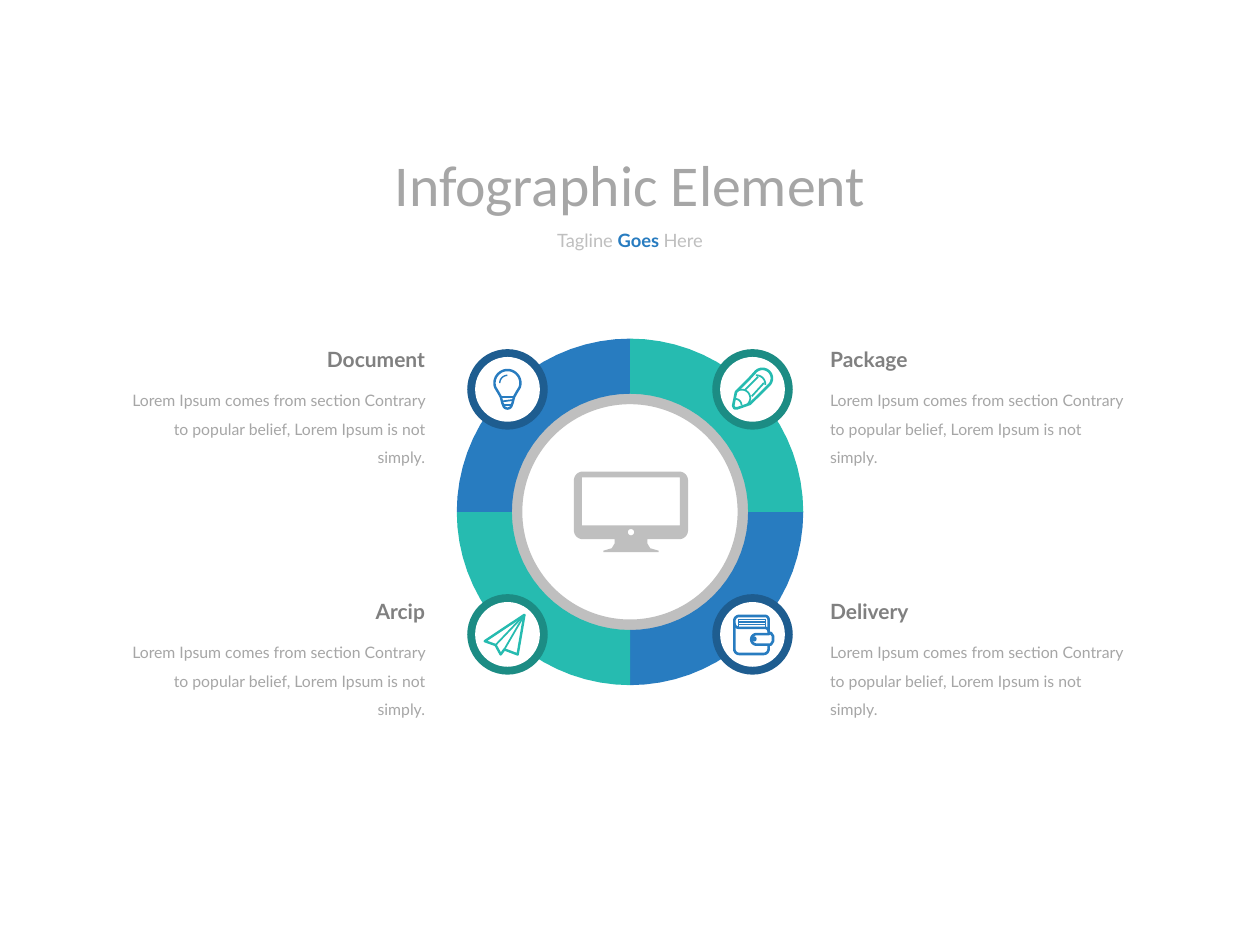
from math import cos, radians, sin

from lxml.etree import SubElement
from pptx import Presentation
from pptx.dml.color import RGBColor
from pptx.enum.shapes import MSO_SHAPE as Shape
from pptx.enum.text import MSO_ANCHOR as Anchor, MSO_AUTO_SIZE as AutoSize, PP_ALIGN as Align
from pptx.oxml.ns import qn
from pptx.util import Pt

BLUE, TEAL = "287CC0", "26BBB0"
DARK_BLUE, DARK_TEAL = "1E5D90", "1C8C84"
SILVER, GRAY, DARK_GRAY, WHITE = "BFBFBF", "A6A6A6", "808080", "FFFFFF"

CENTER_X, CENTER_Y = 360, 292.5
BADGE_OFFSET = 70
BLURB = ("Lorem Ipsum comes from section Contrary to popular belief, "
         "Lorem Ipsum is not simply.")


def color(hex_text):
    return RGBColor.from_string(hex_text)


def arc(x, y, radius, start, end):
    """Points along an arc, in degrees clockwise from the right."""
    count = max(6, int(abs(end - start) / 5))
    angles = [radians(start + (end - start) * i / count) for i in range(count + 1)]
    return [(x + radius * cos(a), y + radius * sin(a)) for a in angles]


def paint(shape, fill=None, line=None, weight=1.4):
    shape.shadow.inherit = False
    if fill:
        shape.fill.solid()
        shape.fill.fore_color.rgb = color(fill)
    else:
        shape.fill.background()
    if line:
        shape.line.color.rgb = color(line)
        shape.line.width = Pt(weight)
        SubElement(shape.line._get_or_add_ln(), qn("a:round"))
    else:
        shape.line.fill.background()


def add_outline(page, contours, x=0, y=0, closed=True, **style):
    """Draw one freeform from contours placed relative to (x, y)."""
    builder = None
    for contour in contours:
        points = [(Pt(x + px), Pt(y + py)) for px, py in contour]
        if builder is None:
            builder = page.shapes.build_freeform(*points[0], scale=1.0)
        else:
            builder.move_to(*points[0])
        builder.add_line_segments(points[1:], close=closed)
    paint(builder.convert_to_shape(), **style)


def add_round(page, x, y, radius, fill, kind=Shape.OVAL):
    shape = page.shapes.add_shape(
        kind, Pt(x - radius), Pt(y - radius), Pt(2 * radius), Pt(2 * radius))
    paint(shape, fill=fill)
    return shape


def write(box, text, size, hex_color, font="Lato", bold=False, align=Align.LEFT,
          spacing=None, wrap=True):
    """Append formatted text to the first paragraph of a box."""
    frame = box.text_frame
    frame.word_wrap = wrap
    frame.auto_size = AutoSize.NONE
    frame.vertical_anchor = Anchor.TOP
    para = frame.paragraphs[0]
    para.alignment = align
    if spacing:
        para.line_spacing = spacing
    span = para.add_run()
    span.text = text
    span.font.name = font
    span.font.size = Pt(size)
    span.font.bold = bold
    span.font.color.rgb = color(hex_color)


def add_box(page, left, top, width, height):
    return page.shapes.add_textbox(Pt(left), Pt(top), Pt(width), Pt(height))


def add_heading(page):
    title = page.shapes.title
    title.left, title.top, title.width, title.height = Pt(204.5), Pt(81.5), Pt(311), Pt(47.5)
    write(title, "Infographic Element", 33, GRAY, font="Calibri", align=Align.CENTER)
    tagline = add_box(page, 309.5, 127.5, 101, 20)
    for text, hex_color, bold in (("Tagline ", SILVER, False), ("Goes ", BLUE, True),
                                  ("Here", SILVER, False)):
        write(tagline, text, 10.5, hex_color, bold=bold, align=Align.CENTER, wrap=False)


def add_wheel(page):
    hub = add_round(page, CENTER_X, CENTER_Y, 82, SILVER, Shape.DONUT)
    hub.adjustments[0] = 0.125
    for quarter, fill in enumerate((BLUE, TEAL, BLUE, TEAL)):
        start = 90 * quarter
        band = arc(0, 0, 99, start, start + 90) + arc(0, 0, 67.5, start + 90, start)
        add_outline(page, [band], CENTER_X, CENTER_Y, fill=fill)


def add_monitor(page):
    stand = [(9.3, 15.6), (9.3, 18), (11, 20.8), (15.8, 22.2), (15.8, 23)]
    body = (arc(27.6, -18, 5, 270, 360) + arc(27.6, 10.6, 5, 0, 90) + stand
            + [(-px, py) for px, py in reversed(stand)]
            + arc(-27.6, 10.6, 5, 90, 180) + arc(-27.6, -18, 5, 180, 270))
    screen = [(-28, -19.7), (28, -19.7), (28, 7.7), (-28, 7.7)]
    add_outline(page, [body, screen, arc(0, 11.6, 1.8, 0, 360)],
                CENTER_X + 0.6, CENTER_Y, fill=SILVER)


def draw_bulb(page, x, y):
    glass = (arc(0, -3.6, 7.4, 160, 380) + [(5.4, 1.5), (3.8, 4.3), (2.8, 8.3)]
             + arc(0, 8.5, 2.5, 0, 180) + [(-2.8, 8.3), (-3.8, 4.3), (-5.4, 1.5)])
    add_outline(page, [glass], x, y, line=BLUE)
    bands = [[(-3.8, 4.3), (3.8, 4.3)], [(-3, 6.9), (3, 6.1)], [(-2.6, 8.8), (2.6, 8.8)]]
    add_outline(page, bands, x, y, closed=False, line=BLUE, weight=1)
    add_outline(page, [arc(0, -3.6, 4.4, 180, 270)], x, y, closed=False,
                line=BLUE, weight=0.8)


def draw_pencil(page, x, y):
    body = ([(-9.4, 1.6), (-1.4, -6.5)] + arc(5.7, -6.3, 5.4, 225, 405)
            + [(-1.4, 8.3), (-8.6, 10.8), (-10.3, 10.8), (-11, 9.3)])
    add_outline(page, [body], x, y, line=TEAL, weight=1.5)
    details = [arc(-6.1, 5, 4.8, 225, 405), arc(2.3, -3, 5, 265, 365),
               arc(-9.8, 9, 3.5, 270, 360),
               [(-4.3, 0.4), (3.2, -7.2)], [(-0.4, 4), (6.5, -3.6)]]
    add_outline(page, details, x, y, closed=False, line=TEAL, weight=1)


def draw_plane(page, x, y):
    nose, fold, notch = (9.7, -11.2), (-6.8, 6.1), (-1.8, 8.6)
    wings = [nose, (-13, 3.9), fold, (-3.9, 11.5), notch, (5.8, 11.5)]
    add_outline(page, [wings], x, y, line=TEAL)
    add_outline(page, [[nose, fold], [nose, notch]], x, y, closed=False,
                line=TEAL, weight=1)


def draw_wallet(page, x, y):
    body = ([(9.2, 5.9)] + arc(6.4, 8.4, 2.8, 0, 90) + arc(-7.6, 8.4, 2.8, 90, 180)
            + arc(-7.6, -7.7, 2.8, 180, 270) + arc(7.2, -8.5, 2, 270, 360) + [(9.2, -0.1)])
    flap = arc(-7.6, -6.5, 2.8, 180, 90) + arc(7.2, -1.7, 2, 270, 360)
    add_outline(page, [body, flap], x, y, closed=False, line=BLUE, weight=1.5)
    strap = arc(2.3, 2.9, 3, 90, 270) + [(9.2, -0.1), (10.5, -0.9), (11.7, 1),
                                         (11.7, 4), (10.5, 5.9)]
    add_outline(page, [strap], x, y, line=BLUE, weight=1.5)
    cards = [[(-7.9, level), (7.5, level)] for level in (-8.5, -7, -5.5)]
    cards += [[(side, -8.5), (side, -4)] for side in (-7.9, 7.5)]
    add_outline(page, cards, x, y, closed=False, line=BLUE, weight=0.8)
    add_round(page, x + 0.9, y + 2.6, 1.5, BLUE)


def add_topic(page, name, name_width, side, level, rim, draw_icon):
    """Badge with icon, name and blurb; side and level are -1 or 1."""
    x, y = CENTER_X + side * BADGE_OFFSET, CENTER_Y + level * BADGE_OFFSET
    add_round(page, x, y, 23, rim)
    add_round(page, x, y, 18.5, WHITE)
    draw_icon(page, x, y)
    top = 194.5 if level < 0 else 338.5
    align = Align.RIGHT if side < 0 else Align.LEFT
    for text, width, height, drop, style in (
            (BLURB, 185, 56, 20, dict(size=9, hex_color=GRAY, spacing=1.5)),
            (name, name_width, 21.5, 0,
             dict(size=12, hex_color=DARK_GRAY, bold=True, wrap=False))):
        left = 250 - width if side < 0 else 467.3
        write(add_box(page, left, top + drop, width, height), text, align=align, **style)


def main():
    deck = Presentation()
    deck.slide_width, deck.slide_height = Pt(720), Pt(540)
    page = deck.slides.add_slide(deck.slide_layouts[5])
    add_heading(page)
    add_wheel(page)
    add_monitor(page)
    # Topics around the wheel
    add_topic(page, "Document", 71.3, -1, -1, DARK_BLUE, draw_bulb)
    add_topic(page, "Arcip", 43.2, -1, 1, DARK_TEAL, draw_plane)
    add_topic(page, "Package", 60, 1, -1, DARK_TEAL, draw_pencil)
    add_topic(page, "Delivery", 60, 1, 1, DARK_BLUE, draw_wallet)
    deck.save("out.pptx")


if __name__ == "__main__":
    main()
